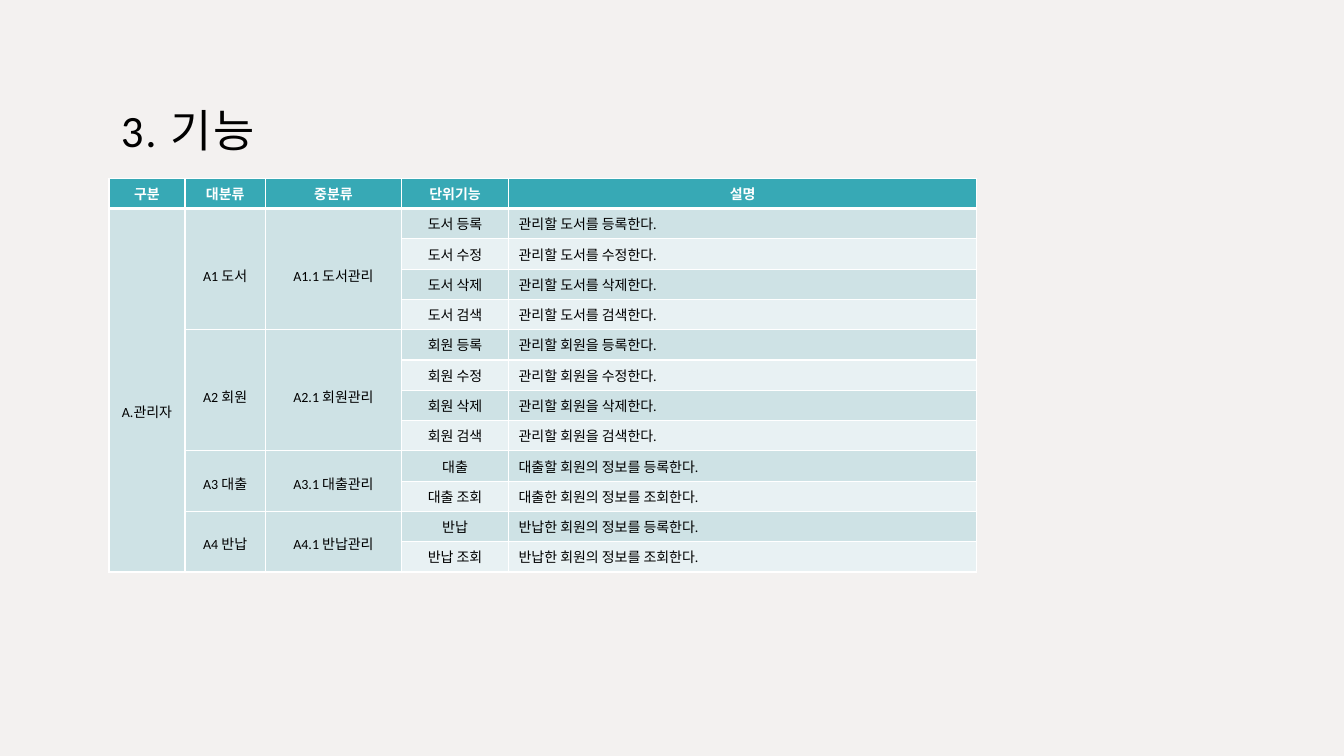
from lxml import etree
from pptx import Presentation
from pptx.dml.color import RGBColor
from pptx.enum import text
from pptx.oxml.ns import qn
from pptx.util import Pt

BACKGROUND = RGBColor(0xF3, 0xF1, 0xF0)
BLACK = RGBColor(0x00, 0x00, 0x00)
WHITE = RGBColor(0xFF, 0xFF, 0xFF)
TEAL = RGBColor(0x37, 0xA9, 0xB5)
BAND_DARK = RGBColor(0xCE, 0xE2, 0xE5)
BAND_LIGHT = RGBColor(0xE8, 0xF1, 0xF3)
FONT = "Calibri"

HEADERS = ["구분", "대분류", "중분류", "단위기능", "설명"]
COLUMN_WIDTHS = [54.3, 57.5, 97.2, 76.5, 334.5]
ROW_HEIGHT = 19.9
LINE_HEIGHT = 12.2
INSET = 3.6

ACTIONS = ["등록", "수정", "삭제", "검색"]
GROUPS = [
    (name, [(f"{name} {action}", f"관리할 {name}{particle} {action}한다.") for action in ACTIONS])
    for name, particle in [("도서", "를"), ("회원", "을")]
] + [
    ("대출", [("대출", "대출할 회원의 정보를 등록한다."),
            ("대출 조회", "대출한 회원의 정보를 조회한다.")]),
    ("반납", [("반납", "반납한 회원의 정보를 등록한다."),
            ("반납 조회", "반납한 회원의 정보를 조회한다.")]),
]


def add_run(p, words, size, color, bold=False):
    r = p.add_run()
    r.text = words
    r.font.name = FONT
    r.font.size = Pt(size)
    r.font.bold = bold
    r.font.color.rgb = color
    return r


def add_title(s, left, top, width, height):
    sp = s.shapes.title
    sp.left, sp.top, sp.width, sp.height = Pt(left), Pt(top), Pt(width), Pt(height)
    tf = sp.text_frame
    tf.word_wrap = True
    tf.auto_size = text.MSO_AUTO_SIZE.NONE
    tf.vertical_anchor = text.MSO_ANCHOR.BOTTOM
    tf.margin_left = tf.margin_top = tf.margin_right = Pt(8.6)
    tf.margin_bottom = Pt(7.2)
    p = tf.paragraphs[0]
    p.alignment = text.PP_ALIGN.LEFT
    r = add_run(p, "3. 기능", 32, BLACK)
    r.font._element.set("spc", "120")


def style_cell(cell, row):
    cell.fill.solid()
    cell.fill.fore_color.rgb = TEAL if row == 0 else BAND_DARK if row % 2 else BAND_LIGHT
    thick_side = {0: "B", 1: "T"}.get(row)
    tc_pr = cell._tc.get_or_add_tcPr()
    for i, side in enumerate("LRTB"):
        ln = etree.Element(qn(f"a:ln{side}"), w=str(Pt(3 if side == thick_side else 1)))
        fill = etree.SubElement(ln, qn("a:solidFill"))
        etree.SubElement(fill, qn("a:srgbClr"), val=str(WHITE))
        tc_pr.insert(i, ln)


def write_cell(cell, words, color=BLACK, bold=False, align=text.PP_ALIGN.CENTER):
    p = cell.text_frame.paragraphs[0]
    p.alignment = align
    add_run(p, words, 10, color, bold)


def write_merged(table, row, col, span, words):
    cell = table.cell(row, col)
    cell.merge(table.cell(row + span - 1, col))
    cell.margin_top = Pt(INSET + LINE_HEIGHT * (span - 1))
    write_cell(cell, words)


def add_function_table(s, left, top):
    body_rows = sum(len(functions) for _, functions in GROUPS)
    rows = body_rows + 1
    table = s.shapes.add_table(rows, len(HEADERS), Pt(left), Pt(top),
                               Pt(sum(COLUMN_WIDTHS)), Pt(ROW_HEIGHT * rows)).table
    for column, width in zip(table.columns, COLUMN_WIDTHS):
        column.width = Pt(width)
    for i, table_row in enumerate(table.rows):
        table_row.height = Pt(ROW_HEIGHT)
        for cell in table_row.cells:
            style_cell(cell, i)

    for col, header in enumerate(HEADERS):
        write_cell(table.cell(0, col), header, WHITE, True)
    write_merged(table, 1, 0, body_rows, "A.관리자")
    row = 1
    for number, (name, functions) in enumerate(GROUPS, 1):
        write_merged(table, row, 1, len(functions), f"A{number} {name}")
        write_merged(table, row, 2, len(functions), f"A{number}.1 {name}관리")
        for function, description in functions:
            write_cell(table.cell(row, 3), function)
            write_cell(table.cell(row, 4), description, align=text.PP_ALIGN.LEFT)
            row += 1


def main():
    prs = Presentation()
    prs.slide_width, prs.slide_height = Pt(960), Pt(540)
    s = prs.slides.add_slide(prs.slide_layouts[5])
    s.background.fill.solid()
    s.background.fill.fore_color.rgb = BACKGROUND
    add_title(s, 77.8, 31, 804, 87.8)
    add_function_table(s, 77.8, 127.4)
    prs.save("out.pptx")


if __name__ == "__main__":
    main()
